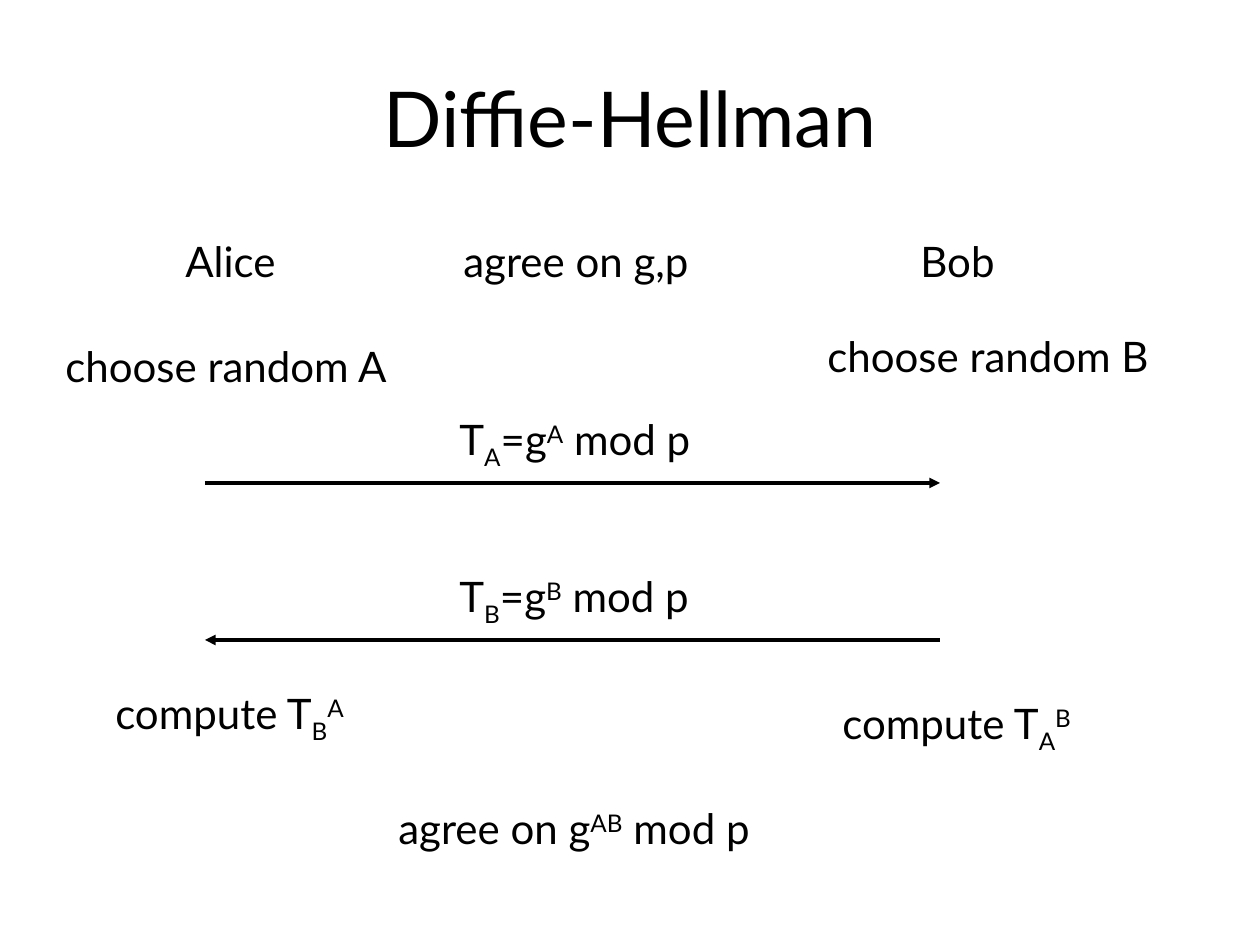
from dataclasses import dataclass

from lxml.etree import SubElement
from pptx import Presentation
from pptx.dml.color import RGBColor
from pptx.enum.shapes import MSO_CONNECTOR
from pptx.enum.text import MSO_ANCHOR, MSO_AUTO_SIZE, PP_ALIGN
from pptx.oxml.ns import qn
from pptx.util import Emu, Pt

EMU_PER_PX = 914400 / 126


@dataclass(frozen=True)
class Theme:
    font: str = "Lato"
    ink: RGBColor = RGBColor(0, 0, 0)
    paper: RGBColor = RGBColor(255, 255, 255)
    title_size: int = 44
    body_size: int = 24
    line_width: int = 2
    line_spacing: float = 1.01


THEME = Theme()


def px(value):
    return Emu(round(value * EMU_PER_PX))


def sub(text):
    return text, -25000


def sup(text):
    return text, 30000


def write_text(frame, parts, size=THEME.body_size, align=PP_ALIGN.LEFT):
    """Fill a frame with plain strings and (text, baseline) pairs."""
    paragraph = frame.paragraphs[0]
    paragraph.alignment = align
    paragraph.line_spacing = THEME.line_spacing
    for part in parts:
        text, baseline = (part, 0) if isinstance(part, str) else part
        run = paragraph.add_run()
        run.text = text
        run.font.name = THEME.font
        run.font.size = Pt(size)
        run.font.color.rgb = THEME.ink
        if baseline:
            run.font._element.set("baseline", str(baseline))


def set_title(slide, text):
    title = slide.shapes.title
    title.left, title.top, title.width, title.height = map(px, (63, 38, 1134, 157))
    title.text_frame.vertical_anchor = MSO_ANCHOR.MIDDLE
    write_text(title.text_frame, [text], size=THEME.title_size, align=PP_ALIGN.CENTER)


def add_label(slide, left, top, width, *parts, height=64):
    box = slide.shapes.add_textbox(px(left), px(top), px(width), px(height))
    frame = box.text_frame
    frame.word_wrap = False
    frame.auto_size = MSO_AUTO_SIZE.SHAPE_TO_FIT_TEXT
    write_text(frame, parts)


def add_arrow(slide, start, end, y):
    arrow = slide.shapes.add_connector(
        MSO_CONNECTOR.STRAIGHT, px(start), px(y), px(end), px(y))
    arrow.line.color.rgb = THEME.ink
    arrow.line.width = Pt(THEME.line_width)
    SubElement(arrow.line._get_or_add_ln(), qn("a:tailEnd"), type="triangle")
    SubElement(arrow._element.spPr, qn("a:effectLst"))


def add_message(slide, secret, start, end, y):
    """An arrow with the public value it carries written above it."""
    add_label(slide, 447, y - 76, 268,
              "T", sub(secret), "=g", sup(secret), " mod p", height=71)
    add_arrow(slide, start, end, y)


def main():
    presentation = Presentation()
    presentation.slide_width, presentation.slide_height = px(1260), px(945)
    slide = presentation.slides.add_slide(presentation.slide_layouts[5])
    slide.background.fill.solid()
    slide.background.fill.fore_color.rgb = THEME.paper
    set_title(slide, "Diffie-Hellman")

    # Parties and their secrets
    add_label(slide, 173, 229, 118, "Alice")
    add_label(slide, 451, 229, 276, "agree on g,p")
    add_label(slide, 908, 229, 105, "Bob")
    add_label(slide, 53, 334, 372, "choose random A")
    add_label(slide, 815, 324, 373, "choose random B")

    # Exchange of public values
    alice_x, bob_x = 205, 940
    add_message(slide, "A", alice_x, bob_x, 483)
    add_message(slide, "B", bob_x, alice_x, 640)

    # Shared key
    add_label(slide, 103, 681, 267, "compute T", sub("B"), sup("A"), height=71)
    add_label(slide, 830, 691, 267, "compute T", sub("A"), sup("B"), height=71)
    add_label(slide, 386, 796, 408, "agree on g", sup("AB"), " mod p")

    presentation.save("out.pptx")


if __name__ == "__main__":
    main()
